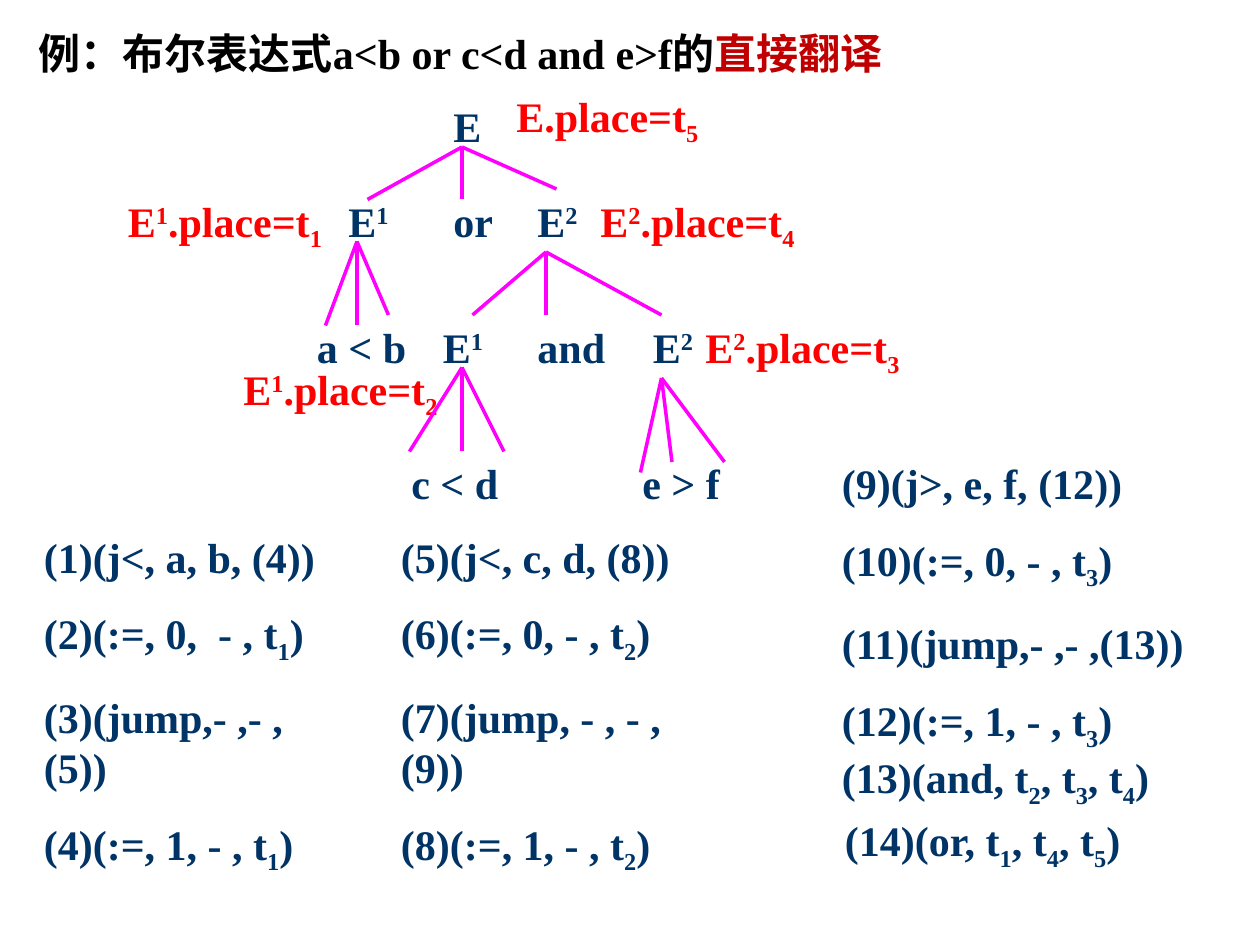
"""Build the slide on direct translation of a Boolean expression."""
from dataclasses import dataclass

from lxml import etree
from pptx import Presentation, util as u
from pptx.dml.color import RGBColor
from pptx.enum import shapes, text
from pptx.oxml.ns import qn

COLUMNS, ROWS = 120, 90
CELL = u.Inches(10) / COLUMNS


@dataclass(frozen=True)
class Theme:
    """Colours, font and sizes of the slide."""
    font: str = "Times New Roman"
    size: int = 24
    gap: int = 15
    branch_width: int = 2
    title: str = "000000"
    emphasis: str = "C00000"
    attribute: str = "FF0000"
    body: str = "003366"
    branch: str = "FF00FF"


THEME = Theme()
BASELINES = {"^": "30000", "_": "-25000"}

NODES = [
    ("E", 31, 1, 5),
    ("E^1", 21, 10, 7), ("or", 31, 10, 7), ("E^2", 39, 10, 7),
    ("a < b", 18, 22, 11), ("E^1", 30, 22, 7), ("and", 39, 22, 9), ("E^2", 50, 22, 7),
    ("c < d", 27, 35, 12), ("e > f", 49, 35, 11),
]
ATTRIBUTES = [
    ("E.place=t_5", 37, 0, 21),
    ("E^1.place=t_1", 0, 10, 22), ("E^2.place=t_4", 45, 10, 23),
    ("E^2.place=t_3", 55, 22, 23), ("E^1.place=t_2", 11, 26, 24),
]
BRANCHES = {
    (33, 6): [(24, 11), (33, 11), (42, 10)],
    (23, 15): [(20, 23), (23, 23), (26, 22)],
    (41, 16): [(34, 22), (41, 22), (52, 22)],
    (33, 27): [(28, 35), (33, 35), (37, 35)],
    (52, 28): [(50, 37), (53, 36), (58, 36)],
}
QUADRUPLES = [
    ((3, 50, 31, 34), ["(1)(j<, a, b, (4))", "(2)(:=, 0,  - , t_1)",
                       "(3)(jump,- ,- ,(5))", "(4)(:=, 1, - , t_1)"]),
    ((37, 50, 32, 34), ["(5)(j<, c, d, (8))", "(6)(:=, 0, - , t_2)",
                        "(7)(jump, - , - ,(9))", "(8)(:=, 1, - , t_2)"]),
    ((79, 43, 35, 34), ["(9)(j>, e, f, (12))", "(10)(:=, 0, - , t_3)",
                        "(11)(jump,- ,- ,(13))", "(12)(:=, 1, - , t_3)"]),
    ((79, 71, 39, 6.7), ["(13)(and, t_2, t_3, t_4)"]),
    ((79.3, 77, 30, 6.7), ["(14)(or, t_1, t_4, t_5)"]),
]


def cells(*counts):
    """Turn grid counts into lengths."""
    return [u.Emu(round(count * CELL)) for count in counts]


def format_run(run, colour):
    """Give a run the slide's font and a colour."""
    run.font.name, run.font.size, run.font.bold = THEME.font, u.Pt(THEME.size), True
    run.font.color.rgb = RGBColor.from_string(colour)


def split_script(line):
    """Split a line into text and baseline, where ^ raises and _ lowers a digit."""
    pieces, mark = [["", "0"]], None
    for letter in line:
        if letter in BASELINES:
            mark = letter
        elif mark:
            pieces += [[letter, BASELINES[mark]], ["", "0"]]
            mark = None
        else:
            pieces[-1][0] += letter
    return [piece for piece in pieces if piece[0]]


def add_lines(parent, box, lines, colour):
    """Place a text box holding one paragraph for each line."""
    frame = parent.add_textbox(*cells(*box)).text_frame
    frame.word_wrap = True
    frame.auto_size = text.MSO_AUTO_SIZE.SHAPE_TO_FIT_TEXT
    for index, line in enumerate(lines):
        paragraph = frame.add_paragraph() if index else frame.paragraphs[0]
        if index:
            paragraph.space_before = u.Pt(THEME.gap)
        for piece, baseline in split_script(line):
            run = paragraph.add_run()
            run.text = piece
            format_run(run, colour)
            if baseline != "0":
                run.font._element.set("baseline", baseline)


def add_branch(parent, start, end):
    """Draw one branch of the tree."""
    branch = parent.add_connector(shapes.MSO_CONNECTOR.STRAIGHT, *cells(*start, *end))
    branch.line.color.rgb = RGBColor.from_string(THEME.branch)
    branch.line.width = u.Pt(THEME.branch_width)
    etree.SubElement(branch._element.spPr, qn("a:effectLst"))


def add_heading(slide, box):
    """Place the title and colour its closing words."""
    heading = slide.shapes.title
    heading.left, heading.top, heading.width, heading.height = cells(*box)
    frame = heading.text_frame
    frame.auto_size = text.MSO_AUTO_SIZE.NONE
    frame.vertical_anchor = text.MSO_ANCHOR.TOP
    paragraph = frame.paragraphs[0]
    paragraph.alignment = text.PP_ALIGN.LEFT
    for words, colour in [("例：布尔表达式a<b or c<d and e>f的", THEME.title),
                          ("直接翻译", THEME.emphasis)]:
        run = paragraph.add_run()
        run.text = words
        format_run(run, colour)


def add_tree(slide, left, top):
    """Place the parse tree with its attributes from the given corner."""
    for label, column, row, width in ATTRIBUTES:
        add_lines(slide.shapes, (left + column, top + row, width, 6.7),
                  [label], THEME.attribute)
    tree = slide.shapes.add_group_shape().shapes
    for label, column, row, width in NODES:
        add_lines(tree, (left + column, top + row, width, 6), [label], THEME.body)
    for (column, row), children in BRANCHES.items():
        for child_column, child_row in children:
            add_branch(tree, (left + column, top + row),
                       (left + child_column, top + child_row))


def add_quadruples(slide):
    """Place the columns of generated quadruples."""
    for box, lines in QUADRUPLES:
        add_lines(slide.shapes, box, lines, THEME.body)


def main():
    """Build and save the presentation."""
    deck = Presentation()
    deck.slide_width, deck.slide_height = cells(COLUMNS, ROWS)
    slide = deck.slides.add_slide(deck.slide_layouts[5])
    add_heading(slide, (2.5, 2, 104.4, 6))
    add_tree(slide, 11, 8)
    add_quadruples(slide)
    deck.save("out.pptx")


if __name__ == "__main__":
    main()
